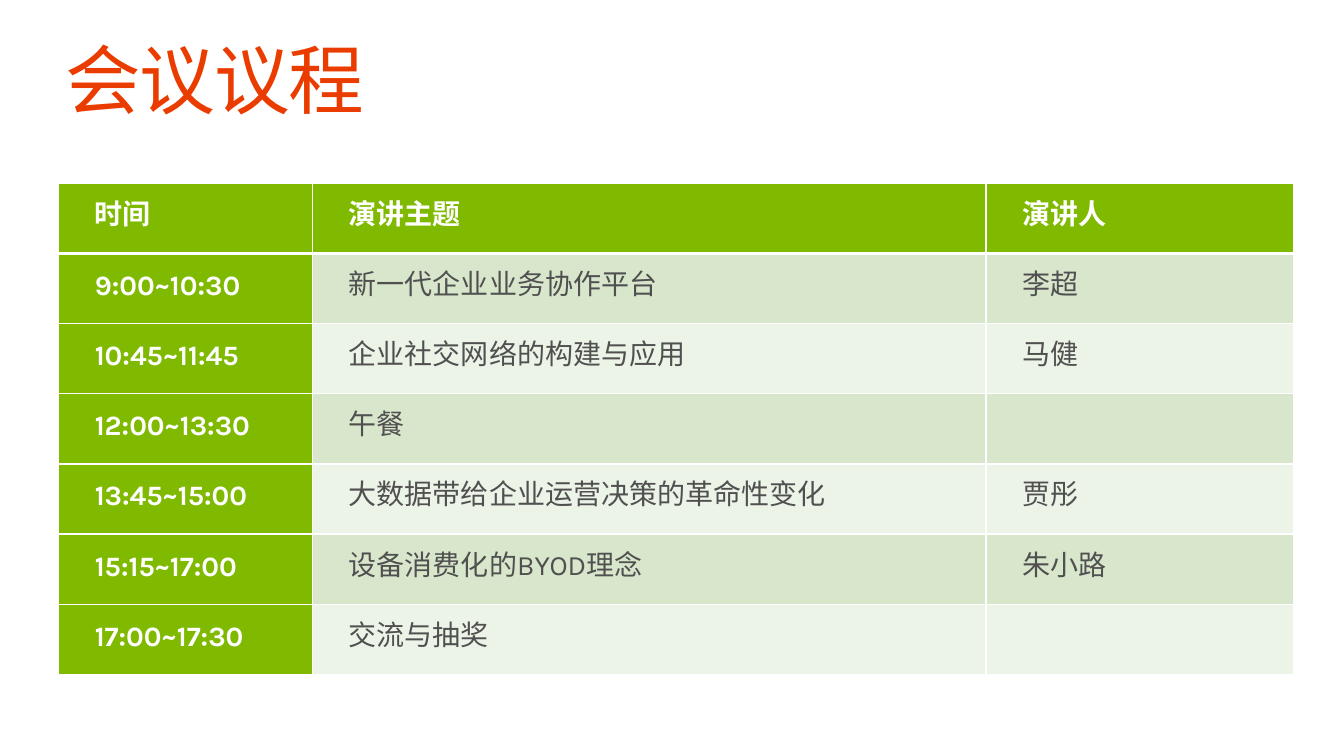
from dataclasses import dataclass

from lxml.etree import SubElement
from pptx import Presentation
from pptx.dml.color import RGBColor
from pptx.enum.text import MSO_ANCHOR, PP_ALIGN
from pptx.oxml.ns import qn
from pptx.util import Inches, Pt

COLORS = {
    "title": "EB3C00",
    "green": "7FBA00",
    "white": "FFFFFF",
    "text": "505050",
    "dark_band": "D8E7CC",
    "light_band": "ECF3E7",
}
LATIN_FONT = "Karla"
CHINESE_FONT = "Noto Sans CJK SC"
COLUMN_WIDTHS = (2.52, 6.68, 3.05)
TABLE_HEIGHT = 4.87
CELL_FORMAT = {
    "margin_left": Inches(0.07),
    "margin_right": Inches(0.07),
    "margin_top": 0,
    "margin_bottom": 0,
    "vertical_anchor": MSO_ANCHOR.MIDDLE,
}
TITLE_BOX = {
    "left": Inches(0.55),
    "top": Inches(0.4),
    "width": Inches(12.2),
    "height": Inches(0.86),
}


@dataclass(frozen=True)
class Session:
    time: str
    topic: str
    speaker: str = ""


AGENDA = (
    Session("时间", "演讲主题", "演讲人"),
    Session("9:00~10:30", "新一代企业业务协作平台", "李超"),
    Session("10:45~11:45", "企业社交网络的构建与应用", "马健"),
    Session("12:00~13:30", "午餐"),
    Session("13:45~15:00", "大数据带给企业运营决策的革命性变化", "贾彤"),
    Session("15:15~17:00", "设备消费化的BYOD理念", "朱小路"),
    Session("17:00~17:30", "交流与抽奖"),
)


def apply_format(target, values: dict) -> None:
    for attribute, value in values.items():
        setattr(target, attribute, value)


def write_run(paragraph, words: str, size: int, color: str, bold: bool, latin: str):
    run = paragraph.add_run()
    run.text = words
    apply_format(run.font, {"size": Pt(size), "bold": bold, "name": latin})
    run.font.color.rgb = RGBColor.from_string(COLORS[color])
    properties = run.font._element
    SubElement(properties, qn("a:ea"), typeface=CHINESE_FONT)
    return properties


def add_borders(cell, row: int) -> None:
    properties = cell._tc.get_or_add_tcPr()
    widths = {"lnL": 1, "lnR": 1, "lnT": 3 if row == 1 else 1, "lnB": 3 if row == 0 else 1}
    for side, width in widths.items():
        border = SubElement(properties, qn(f"a:{side}"), w=str(Pt(width)))
        fill = SubElement(border, qn("a:solidFill"))
        SubElement(fill, qn("a:srgbClr"), val=COLORS["white"])


def fill_cell(cell, words: str, row: int, column: int) -> None:
    heading = row == 0 or column == 0
    band = "dark_band" if row % 2 else "light_band"
    apply_format(cell, CELL_FORMAT)
    add_borders(cell, row)
    cell.fill.solid()
    cell.fill.fore_color.rgb = RGBColor.from_string(COLORS["green" if heading else band])
    if words:
        paragraph = cell.text_frame.paragraphs[0]
        apply_format(paragraph, {"alignment": PP_ALIGN.JUSTIFY, "line_spacing": Pt(20)})
        paragraph._p.get_or_add_pPr().set("indent", str(Inches(0.29)))
        write_run(paragraph, words, 20, "white" if heading else "text", heading, LATIN_FONT)


def add_title(slide) -> None:
    title = slide.shapes.title
    apply_format(title, TITLE_BOX)
    apply_format(title.text_frame, {"vertical_anchor": MSO_ANCHOR.MIDDLE, "word_wrap": True})
    heading = title.text_frame.paragraphs[0]
    apply_format(heading, {"alignment": PP_ALIGN.LEFT, "line_spacing": 0.9})
    write_run(heading, "会议议程", 54, "title", False, CHINESE_FONT).set("spc", "-100")


def add_agenda(slide) -> None:
    agenda = slide.shapes.add_table(
        len(AGENDA), len(COLUMN_WIDTHS), Inches(0.58), Inches(1.82),
        Inches(sum(COLUMN_WIDTHS)), Inches(TABLE_HEIGHT),
    ).table
    agenda.first_col = True
    for column, width in zip(agenda.columns, COLUMN_WIDTHS):
        column.width = Inches(width)
    for row, session in enumerate(AGENDA):
        for column, words in enumerate((session.time, session.topic, session.speaker)):
            fill_cell(agenda.cell(row, column), words, row, column)


def main() -> None:
    presentation = Presentation()
    apply_format(presentation, {"slide_width": Inches(13.33), "slide_height": Inches(7.5)})
    slide = presentation.slides.add_slide(presentation.slide_layouts[5])
    add_title(slide)
    add_agenda(slide)
    presentation.save("out.pptx")


if __name__ == "__main__":
    main()
